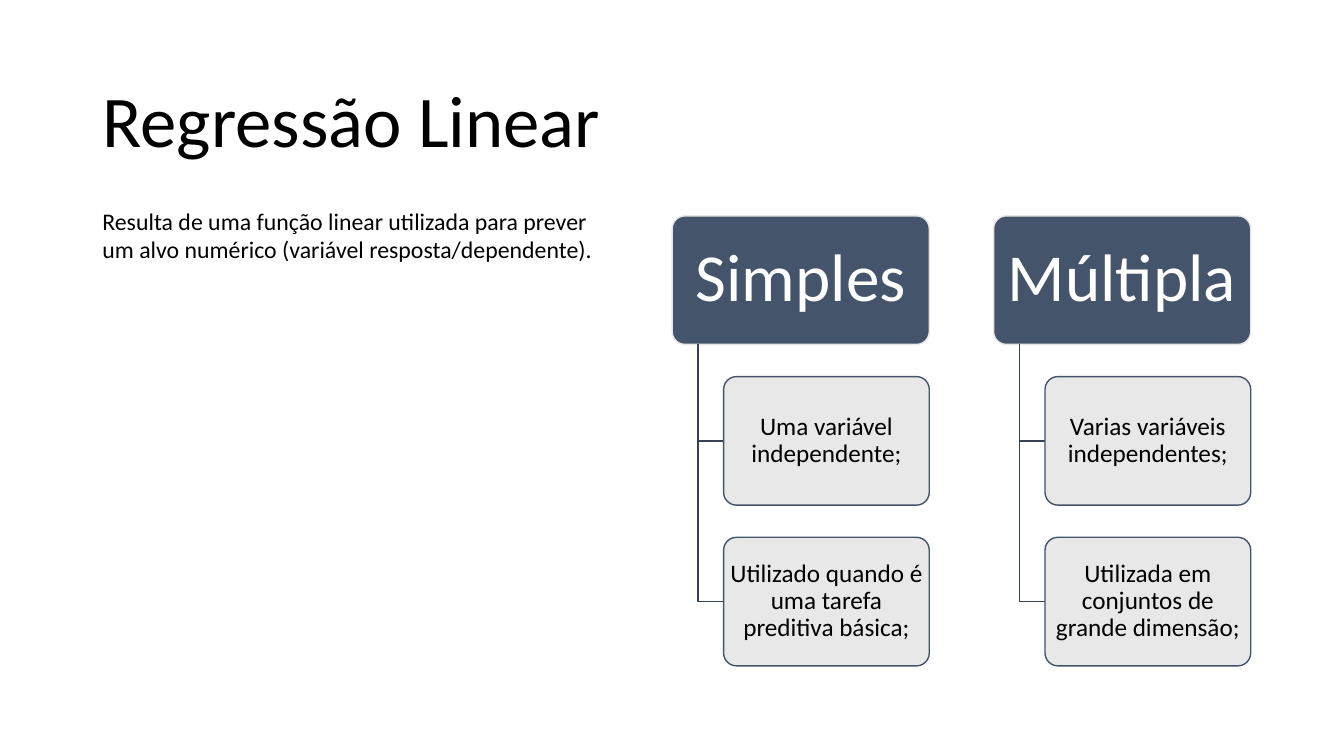
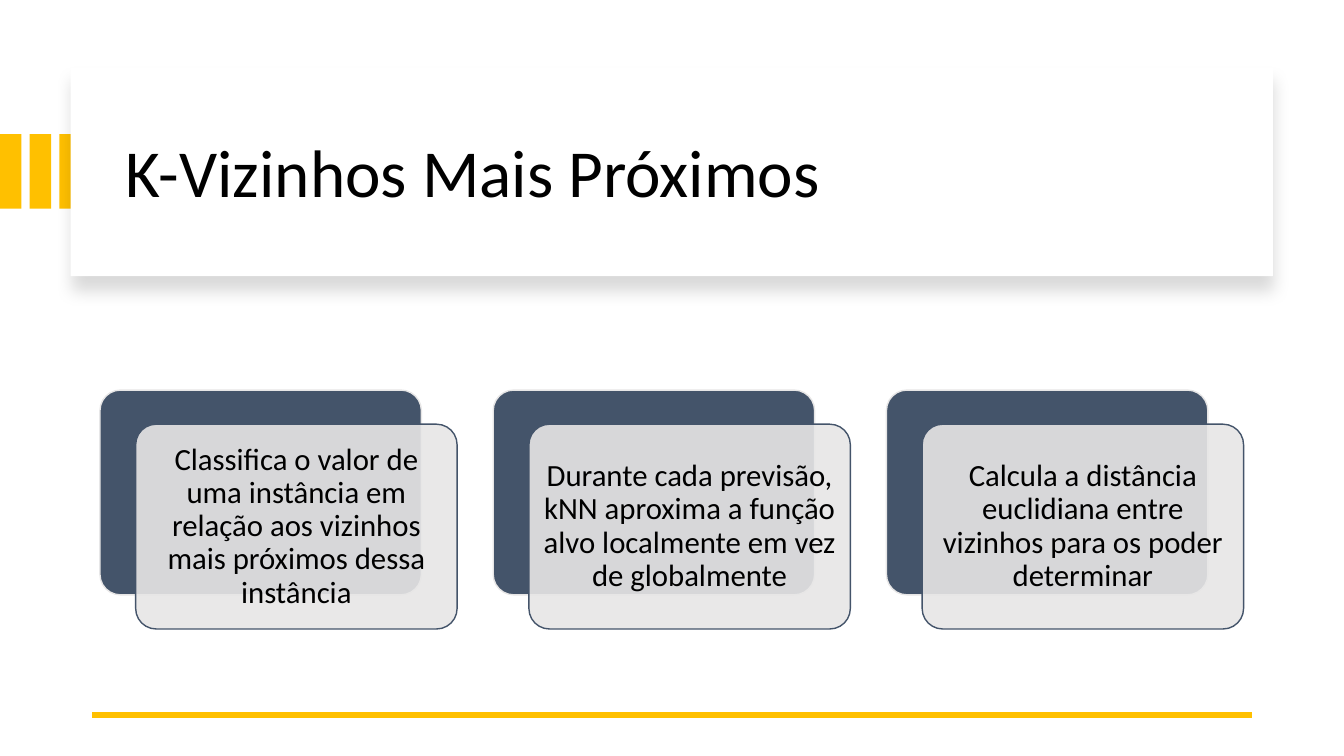
from dataclasses import dataclass

from lxml.etree import SubElement
from pptx import Presentation
from pptx.dml.color import RGBColor
from pptx.enum.shapes import MSO_CONNECTOR, MSO_SHAPE
from pptx.enum.text import MSO_ANCHOR, MSO_AUTO_SIZE, PP_ALIGN
from pptx.oxml.ns import qn
from pptx.util import Cm, Pt

REGRESSION_TITLE = "Regressão Linear"
REGRESSION_SUMMARY = (
    "Resulta de uma função linear utilizada para prever um alvo numérico "
    "(variável resposta/dependente)."
)
REGRESSION_TYPES = {
    "Simples": [
        "Uma variável independente;",
        "Utilizado quando é uma tarefa preditiva básica;",
    ],
    "Múltipla": [
        "Varias variáveis independentes;",
        "Utilizada em conjuntos de grande dimensão;",
    ],
}
NEIGHBOURS_TITLE = "K-Vizinhos Mais Próximos"
NEIGHBOURS_CARDS = [
    "Classifica o valor de uma instância em relação aos vizinhos mais próximos dessa instância",
    "Durante cada previsão, kNN aproxima a função alvo localmente em vez de globalmente",
    "Calcula a distância euclidiana entre vizinhos para os poder determinar",
]


@dataclass(frozen=True)
class Theme:
    font: str = "Calibri"
    black: str = "000000"
    white: str = "FFFFFF"
    navy: str = "44546A"
    dark_navy: str = "364355"
    grey: str = "E7E6E6"
    gold: str = "FFC000"
    card_opacity: int = 90
    shadow_opacity: int = 15
    outline: float = 1
    rule: float = 4.5
    title_size: int = 52
    banner_title_size: int = 48
    heading_size: int = 48
    card_size: int = 22
    leaf_size: int = 18
    summary_size: int = 17


THEME = Theme()


def rgb(colour):
    return RGBColor.from_string(colour)


def add_alpha(colour_element, percent):
    SubElement(colour_element, qn("a:alpha"), val=str(percent * 1000))


def write(shape, text, size, colour=THEME.black, align=PP_ALIGN.LEFT,
          anchor=MSO_ANCHOR.MIDDLE, spacing=0.9):
    frame = shape.text_frame
    frame.text = text
    frame.word_wrap = True
    frame.auto_size = MSO_AUTO_SIZE.NONE
    frame.vertical_anchor = anchor
    paragraph = frame.paragraphs[0]
    paragraph.alignment = align
    paragraph.line_spacing = spacing
    paragraph.font.name = THEME.font
    paragraph.font.size = Pt(size)
    paragraph.font.color.rgb = rgb(colour)


def place_title(slide, text, size, left, top, width, height):
    """Format the title placeholder and bring it in front of the other shapes."""
    title = slide.shapes.title
    title.left, title.top = Cm(left), Cm(top)
    title.width, title.height = Cm(width), Cm(height)
    write(title, text, size)
    slide.shapes._spTree.append(title._element)


def add_block(slide, left, top, width, height, fill, line=None, kind=MSO_SHAPE.RECTANGLE):
    shape = slide.shapes.add_shape(kind, Cm(left), Cm(top), Cm(width), Cm(height))
    shape.shadow.inherit = False
    shape.fill.solid()
    shape.fill.fore_color.rgb = rgb(fill)
    if line:
        shape.line.color.rgb = rgb(line)
        shape.line.width = Pt(THEME.outline)
    else:
        shape.line.fill.background()
    return shape


def add_panel(slide, left, top, width, height, dark):
    """Rounded box: solid navy, or slightly transparent grey."""
    fill, line = (THEME.navy, THEME.grey) if dark else (THEME.grey, THEME.navy)
    panel = add_block(slide, left, top, width, height, fill, line,
                      MSO_SHAPE.ROUNDED_RECTANGLE)
    panel.adjustments[0] = 0.1
    if not dark:
        add_alpha(panel._element.spPr.find(".//" + qn("a:srgbClr")), THEME.card_opacity)
    return panel


def write_panel(panel, text, size, inset, colour=THEME.black):
    """Write centred text; the inset adds to the one of the rounded corners."""
    frame = panel.text_frame
    frame.margin_left = frame.margin_right = Cm(inset)
    frame.margin_top = frame.margin_bottom = Cm(inset)
    write(panel, text, size, colour, PP_ALIGN.CENTER)


def add_elbow(slide, left, top, right, bottom):
    """Line running down and then right."""
    builder = slide.shapes.build_freeform(Cm(left), Cm(top))
    builder.add_line_segments(
        [(Cm(left), Cm(bottom)), (Cm(right), Cm(bottom))], close=False)
    elbow = builder.convert_to_shape()
    elbow.shadow.inherit = False
    elbow.fill.background()
    elbow.line.color.rgb = rgb(THEME.dark_navy)
    elbow.line.width = Pt(THEME.outline)


def add_hierarchy(slide, left, top, height):
    """One column per type; every other measure follows from the box height."""
    width, row_step = 2 * height, 1.25 * height
    indent, column_step = 0.2 * width, 1.25 * width
    for column, (heading, leaves) in enumerate(REGRESSION_TYPES.items()):
        x = left + column * column_step
        header = add_panel(slide, x, top, width, height, dark=True)
        write_panel(header, heading, THEME.heading_size, 0.15, THEME.white)
        for row, leaf in enumerate(leaves, start=1):
            y = top + row * row_step
            add_elbow(slide, x + indent / 2, top + height, x + indent, y + height / 2)
            box = add_panel(slide, x + indent, y, width - indent, height, dark=False)
            write_panel(box, leaf, THEME.leaf_size, 0.06)


def add_banner(slide):
    for stripe in range(3):
        add_block(slide, stripe * 0.75, 3.38, 0.54, 1.88, THEME.gold)
    banner = add_block(slide, 1.78, 1.7, 30.3, 5.26, THEME.white)
    effects = banner._element.spPr.find(qn("a:effectLst"))
    shadow = SubElement(effects, qn("a:outerShdw"), blurRad=str(Pt(11)),
                        dist=str(Pt(10)), dir=str(90 * 60000), rotWithShape="0")
    add_alpha(SubElement(shadow, qn("a:srgbClr"), val=THEME.black), THEME.shadow_opacity)


def add_rule(slide, left, right, y):
    rule = slide.shapes.add_connector(
        MSO_CONNECTOR.STRAIGHT, Cm(right), Cm(y), Cm(left), Cm(y))
    rule.line.color.rgb = rgb(THEME.gold)
    rule.line.width = Pt(THEME.rule)
    SubElement(rule._element.spPr, qn("a:effectLst"))


def add_cards(slide, left, top, width, height, step):
    for column, text in enumerate(NEIGHBOURS_CARDS):
        x = left + column * step
        add_panel(slide, x, top, width, height, dark=True)
        card = add_panel(slide, x + 0.9, top + 0.86, width, height, dark=False)
        write_panel(card, text, THEME.card_size, 0.2)


def build_regression(slide):
    place_title(slide, REGRESSION_TITLE, THEME.title_size, 2.33, 1.55, 29.21, 3.15)
    add_hierarchy(slide, left=16.94, top=5.44, height=3.24)
    summary = slide.shapes.add_textbox(Cm(2.33), Cm(5.08), Cm(13.46), Cm(2.49))
    write(summary, REGRESSION_SUMMARY, THEME.summary_size,
          anchor=MSO_ANCHOR.TOP, spacing=1.0)


def build_neighbours(slide):
    add_banner(slide)
    place_title(slide, NEIGHBOURS_TITLE, THEME.banner_title_size, 2.9, 2.26, 28.27, 4.32)
    add_rule(slide, left=2.33, right=31.55, y=18.01)
    add_cards(slide, left=2.52, top=9.83, width=8.1, height=5.16, step=9.91)


def main():
    presentation = Presentation()
    presentation.slide_width, presentation.slide_height = Cm(33.87), Cm(19.05)
    title_only = presentation.slide_layouts[5]
    for build in (build_regression, build_neighbours):
        build(presentation.slides.add_slide(title_only))
    presentation.save("out.pptx")


if __name__ == "__main__":
    main()
